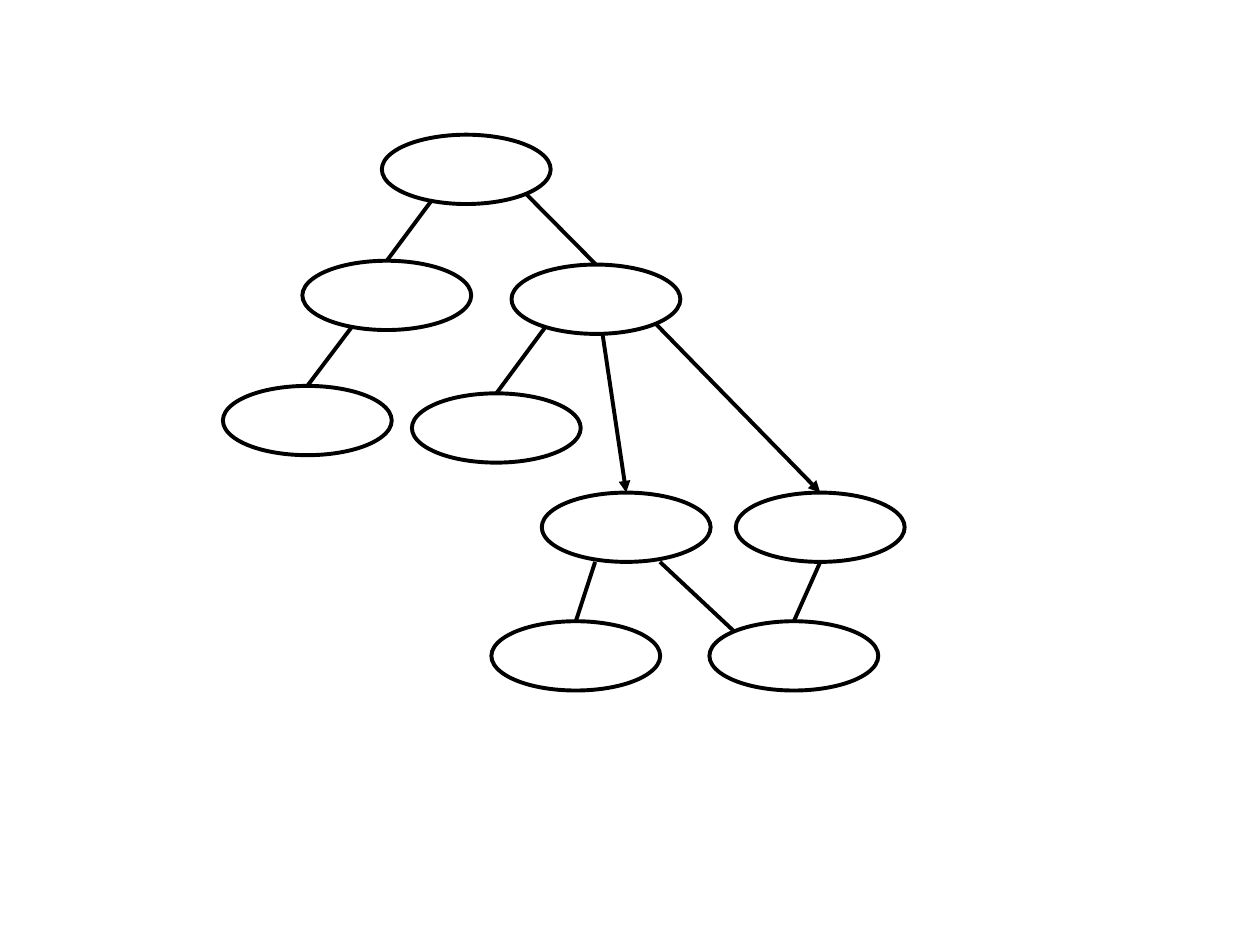
from dataclasses import dataclass
from lxml.etree import SubElement as Sub
from pptx import Presentation
from pptx.dml.color import RGBColor as Color
from pptx.enum.shapes import MSO_CONNECTOR as Link, MSO_SHAPE as Shape
from pptx.enum.text import PP_ALIGN as Align
from pptx.oxml.ns import qn
from pptx.util import Pt


@dataclass(frozen=True)
class Theme:
    ink: Color = Color(0, 0, 0)
    paper: Color = Color(255, 255, 255)
    font: str = "Calibri"
    size: float = 18
    line: float = 2.25
    wide: float = 96.5
    high: float = 39.6


def write(frame, text, font, size, color, align=Align.CENTER):
    para = frame.paragraphs[0]
    para.text = text
    para.alignment = align
    para.font.name = font
    para.font.size = Pt(size)
    para.font.color.rgb = color


class Tree:
    def __init__(self, slide, theme):
        self.slide = slide
        self.theme = theme

    def stroke(self, item):
        item.line.color.rgb = self.theme.ink
        item.line.width = Pt(self.theme.line)

    def node(self, left, top, text=""):
        look = self.theme
        oval = self.slide.shapes.add_shape(
            Shape.OVAL, Pt(left), Pt(top), Pt(look.wide), Pt(look.high))
        oval.shadow.inherit = False
        oval.fill.solid()
        oval.fill.fore_color.rgb = look.paper
        self.stroke(oval)
        write(oval.text_frame, text, font=look.font, size=look.size, color=look.ink)
        return oval

    def edge(self, start, out, end, into=None, arrow=False):
        x, y = into or (self.theme.wide / 2, 0)
        line = self.slide.shapes.add_connector(
            Link.STRAIGHT,
            start.left + Pt(out[0]), start.top + Pt(out[1]),
            end.left + Pt(x), end.top + Pt(y))
        if into is None:
            line.end_connect(end, 0)
        self.stroke(line)
        props = line._element.spPr
        if arrow:
            Sub(props.find(qn("a:ln")), qn("a:tailEnd"), type="triangle")
        Sub(props, qn("a:effectLst"))


deck = Presentation()
deck.slide_width, deck.slide_height = Pt(720), Pt(540)
look = Theme()
tree = Tree(deck.slides.add_slide(deck.slide_layouts[6]), look)

spots = {
    "root": (218.2, 77),
    "left": (172.8, 149),
    "leaf": (127.4, 220.5),
    "right": (292.3, 151.2),
    "mid": (235.4, 224.8),
    "low": (309.6, 281.5),
    "far": (420.5, 281.5),
    "end": (280.8, 355),
    "join": (405.4, 355),
}
nodes = {name: tree.node(*spot) for name, spot in spots.items()}

near, rim = 0.146, 0.854
side = (look.wide * rim, look.high * rim)
back = (look.wide * near, look.high * near)
foot = (look.wide / 2, look.high)
slant = (28.5, 37.5)

edges = [
    ("root", slant, "left", {}),
    ("left", slant, "leaf", {}),
    ("root", side, "right", {}),
    ("right", (19.5, 35.5), "mid", {}),
    ("right", (52, look.high), "low", {"arrow": True}),
    ("right", side, "far", {"arrow": True}),
    ("low", (30.5, look.high), "end", {}),
    ("far", foot, "join", {}),
    ("low", (67.5, look.high), "join", {"into": back}),
]
for start, out, end, more in edges:
    tree.edge(nodes[start], out, nodes[end], **more)

deck.save("out.pptx")
